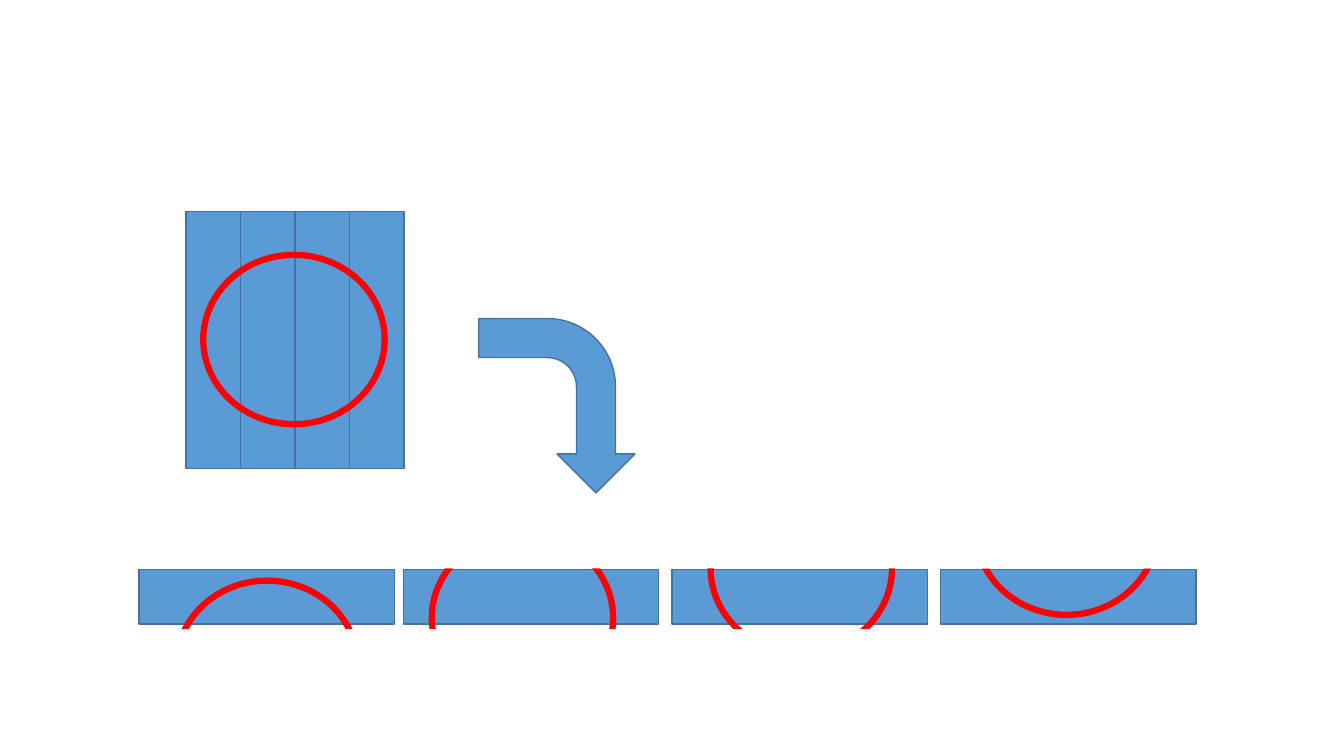
from pptx import Presentation
from pptx.dml.color import RGBColor
from pptx.enum.shapes import MSO_SHAPE
from pptx.util import Pt

BLUE, DARK_BLUE, RED, WHITE = "5B9BD5", "43739E", "FF0000", "FFFFFF"
COLUMN_WIDTH, COLUMN_HEIGHT = 38.9, 183.6
STRIP_WIDTH, STRIP_HEIGHT, STRIP_TOP = 182.4, 38.9, 406.8


def color(hex_string):
    return RGBColor.from_string(hex_string)


def add_shape(slide, kind, left, top, width, height, fill=None, line=None, line_width=1):
    """Add a preset shape; fill or line left as None is not drawn."""
    shape = slide.shapes.add_shape(kind, Pt(left), Pt(top), Pt(width), Pt(height))
    shape.shadow.inherit = False
    if fill:
        shape.fill.solid()
        shape.fill.fore_color.rgb = color(fill)
    else:
        shape.fill.background()
    if line:
        shape.line.color.rgb = color(line)
        shape.line.width = Pt(line_width)
    else:
        shape.line.fill.background()
    return shape


def add_panel(slide, left, top, width, height):
    add_shape(slide, MSO_SHAPE.RECTANGLE, left, top, width, height, BLUE, DARK_BLUE)


def add_ring(slide, left, top):
    add_shape(slide, MSO_SHAPE.OVAL, left, top, 129.6, 121, line=RED, line_width=4.5)


def add_mask(slide, left, top, width, height):
    """Hide the parts of the rings that lie outside the strips."""
    add_shape(slide, MSO_SHAPE.RECTANGLE, left, top, width, height, WHITE)


def add_turn_arrow(slide):
    arrow = add_shape(slide, MSO_SHAPE.BENT_ARROW, 335.5, 234, 124.6, 111.6, BLUE, DARK_BLUE)
    arrow.rotation = 90


def main():
    presentation = Presentation()
    presentation.slide_width, presentation.slide_height = Pt(960), Pt(540)
    slide = presentation.slides.add_slide(presentation.slide_layouts[6])

    for column in range(4):
        add_panel(slide, 133 + column * COLUMN_WIDTH, 151.2, COLUMN_WIDTH, COLUMN_HEIGHT)
    for left in (99.4, 288, 480, 672):
        add_panel(slide, left, STRIP_TOP, STRIP_WIDTH, STRIP_HEIGHT)

    ring_positions = [(145.2, 182), (126, 414.7), (308.4, 380.9), (507.6, 345.6), (697, 318.2)]
    for left, top in ring_positions:
        add_ring(slide, left, top)

    add_mask(slide, 662.4, 296.6, 207.4, 109.4)
    add_mask(slide, 3.6, 449.3, 880.6, 68.4)
    add_mask(slide, 49.7, 337.7, 880.6, 68.4)
    add_turn_arrow(slide)
    add_mask(slide, 72.7, 451.4, 207.4, 88.6)

    presentation.save("out.pptx")


if __name__ == "__main__":
    main()
